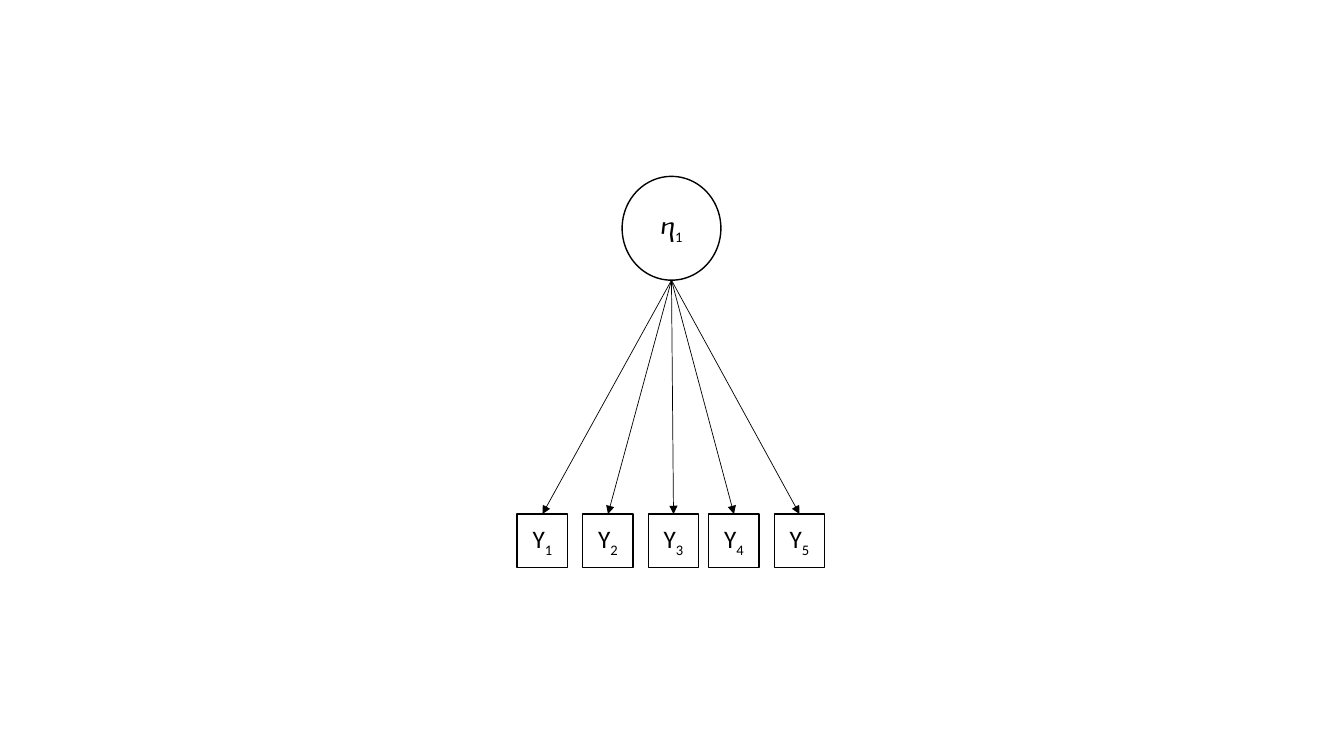
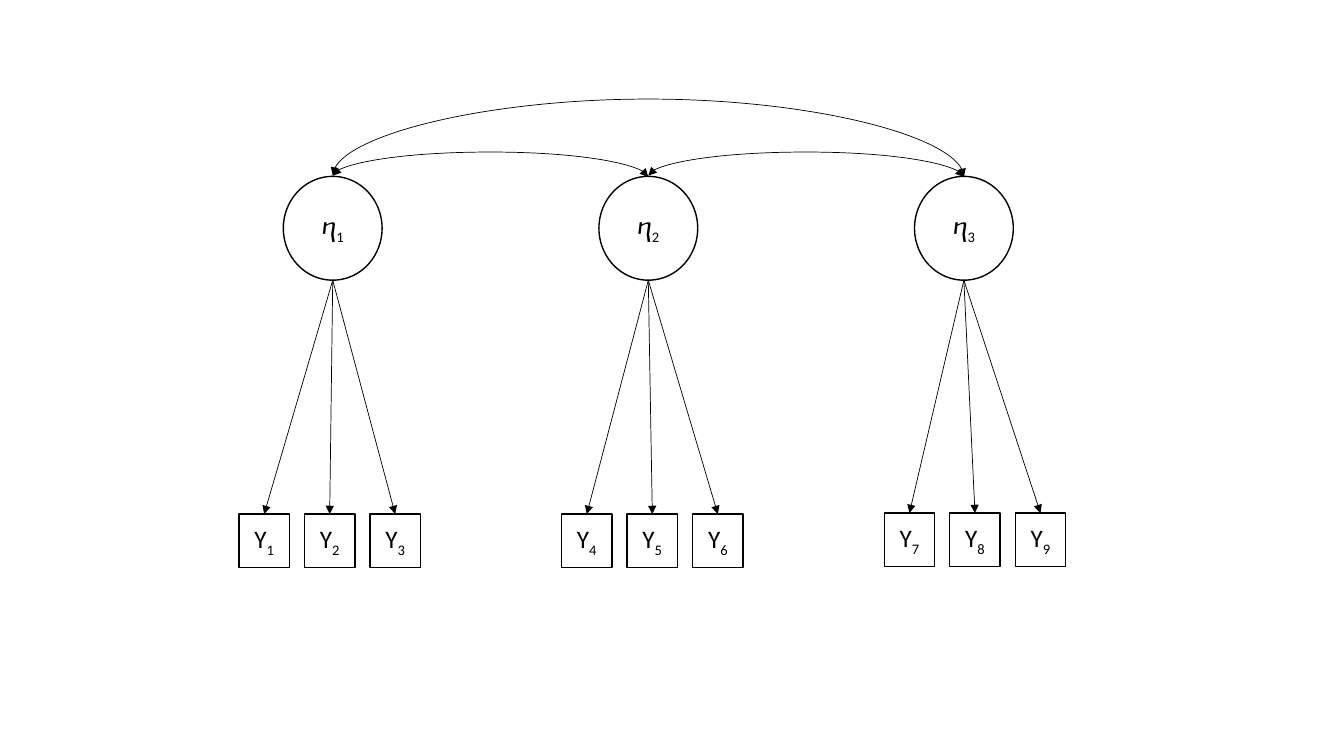
"""Draw a one-factor and a three-factor measurement model as path diagrams."""
from dataclasses import dataclass
from itertools import combinations, count

from lxml.etree import SubElement
from pptx import Presentation
from pptx.dml.color import RGBColor
from pptx.enum.shapes import MSO_CONNECTOR as Link, MSO_SHAPE as Preset
from pptx.enum.text import MSO_ANCHOR as Anchor, PP_ALIGN as Align
from pptx.oxml.ns import qn
from pptx.shapes.autoshape import Shape
from pptx.shapes.connector import Connector
from pptx.slide import Slide
from pptx.util import Inches, Pt

INK = "000000"
FONT = "Calibri"
FACTOR_TOP, FACTOR_WIDTH, FACTOR_HEIGHT = 1.75, 0.98, 1.03
ITEM_WIDTH, ITEM_HEIGHT, ITEM_PITCH = 0.5, 0.53, 0.65
NEAR_RISE, FAR_RISE = 0.25, 0.78


@dataclass(frozen=True)
class ItemRow:
    left: float
    size: int
    top: float = 5.1


@dataclass(frozen=True)
class Factor:
    left: float
    rows: tuple[ItemRow, ...]


MODELS = (
    (Factor(6.17, (ItemRow(5.13, 3), ItemRow(7.03, 2))),),
    (
        Factor(2.81, (ItemRow(2.37, 3),)),
        Factor(5.94, (ItemRow(5.57, 3),)),
        Factor(9.07, (ItemRow(8.77, 3, 5.09),)),
    ),
)


def color(value: str) -> RGBColor:
    return RGBColor.from_string(value)


def add_node(page: Slide, preset: Preset, left: float, top: float,
             width: float, height: float, symbol: str, index: int) -> Shape:
    node = page.shapes.add_shape(
        preset, Inches(left), Inches(top), Inches(width), Inches(height))
    node.shadow.inherit = False
    node.fill.background()
    node.line.color.rgb = color(INK)
    node.line.width = Pt(1)
    node.text_frame.vertical_anchor = Anchor.MIDDLE
    para = node.text_frame.paragraphs[0]
    para.alignment = Align.CENTER
    for text in (symbol, str(index)):
        span = para.add_run()
        span.text = text
        span.font.name = FONT
        span.font.size = Pt(18)
        span.font.color.rgb = color(INK)
    span.font._element.set("baseline", "-25000")
    return node


def style_arrow(arrow: Connector, *ends: str) -> None:
    arrow.line.color.rgb = color(INK)
    arrow.line.width = Pt(0.5)
    outline = arrow.line._get_or_add_ln()
    for end in ends:
        SubElement(outline, qn(f"a:{end}"), type="triangle")
    SubElement(arrow._element.spPr, qn("a:effectLst"))


def add_loading(page: Slide, factor: Shape, item: Shape) -> None:
    arrow = page.shapes.add_connector(
        Link.STRAIGHT, factor.left + factor.width // 2,
        factor.top + factor.height, item.left, item.top)
    arrow.end_connect(item, 0)
    style_arrow(arrow, "tailEnd")


def add_covariance(page: Slide, first: Shape, second: Shape, rise: float) -> None:
    arrow = page.shapes.add_connector(Link.CURVE, 0, 0, 0, 0)
    arrow.begin_connect(second, 0)
    arrow.end_connect(first, 0)
    reach = second.left - first.left
    middle = (first.left + second.left + first.width) // 2
    thickness = Pt(1)
    frame = arrow._element.spPr.xfrm
    frame.attrib.clear()
    frame.set("rot", "16200000")
    frame.set("flipV", "1")
    arrow.left, arrow.top = middle - thickness // 2, first.top - reach // 2
    arrow.width, arrow.height = thickness, reach
    guides = arrow._element.spPr.prstGeom.get_or_add_avLst()
    bend = round(Inches(rise) / thickness * 100000)
    SubElement(guides, qn("a:gd"), name="adj1", fmla=f"val {bend}")
    style_arrow(arrow, "headEnd", "tailEnd")


def draw_model(page: Slide, factors: tuple[Factor, ...]) -> None:
    numbers = count(1)
    circles = []
    for index, factor in enumerate(factors, 1):
        circle = add_node(page, Preset.OVAL, factor.left, FACTOR_TOP,
                          FACTOR_WIDTH, FACTOR_HEIGHT, "\u2d04", index)
        circles.append(circle)
        for row in factor.rows:
            for step in range(row.size):
                item = add_node(page, Preset.RECTANGLE,
                                row.left + step * ITEM_PITCH, row.top,
                                ITEM_WIDTH, ITEM_HEIGHT, "Y", next(numbers))
                add_loading(page, circle, item)
    for (start, first), (stop, second) in combinations(enumerate(circles), 2):
        rise = NEAR_RISE if stop - start == 1 else FAR_RISE
        add_covariance(page, first, second, rise)


def main() -> None:
    deck = Presentation()
    deck.slide_width, deck.slide_height = Inches(13.33), Inches(7.5)
    blank = deck.slide_layouts[6]
    for factors in MODELS:
        draw_model(deck.slides.add_slide(blank), factors)
    deck.save("out.pptx")


main()
